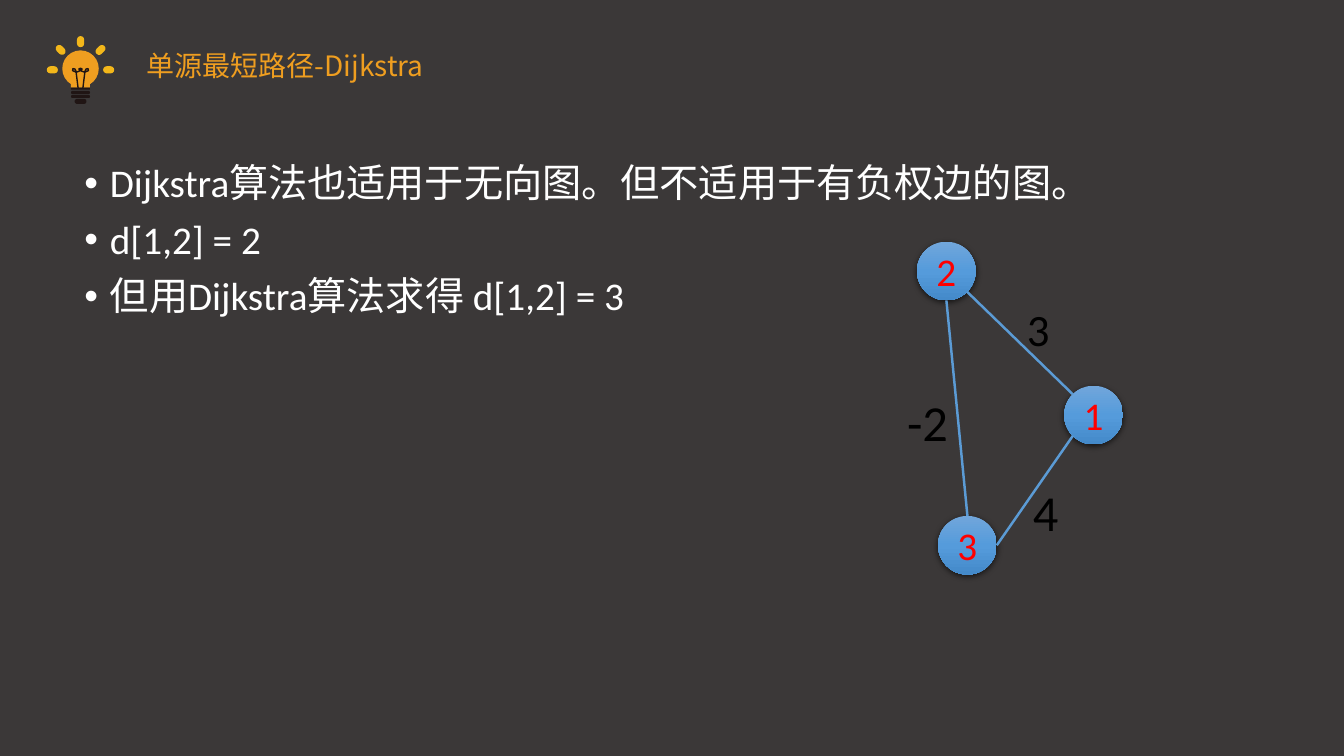
"""Build a slide on Dijkstra's algorithm with a negatively weighted graph."""
from copy import deepcopy
from dataclasses import dataclass
from math import cos, radians, sin

from lxml import etree
from pptx import Presentation
from pptx.dml.color import RGBColor
from pptx.enum import shapes, text
from pptx.oxml.ns import qn
from pptx.util import Cm, Pt

BACKGROUND = RGBColor(0x3B, 0x38, 0x38)
ORANGE = RGBColor(0xEF, 0x9E, 0x20)
YELLOW = RGBColor(0xF3, 0xB7, 0x1A)
DARK = RGBColor(0x20, 0x15, 0x14)
WHITE = RGBColor(0xFF, 0xFF, 0xFF)
BLACK = RGBColor(0, 0, 0)
RED = RGBColor(0xFF, 0, 0)
EDGE_BLUE = RGBColor(0x5B, 0x9B, 0xD5)
NODE_STOPS = (
    (0, RGBColor(0x71, 0xA6, 0xDB)),
    (0.5, RGBColor(0x55, 0x9B, 0xDB)),
    (1, RGBColor(0x44, 0x8A, 0xCA)),
)
LATIN, CJK = "Calibri", "Noto Sans CJK SC"
NODE_SIZE = 1.48
BULB_X, BULB_Y, RAY_DISTANCE = 2.03, 1.76, 0.71
SHAPE = shapes.MSO_SHAPE


@dataclass
class Node:
    label: str
    x: float
    y: float

    def rim(self, angle: float) -> tuple:
        r = NODE_SIZE / 2
        return Cm(self.x + r * cos(radians(angle))), Cm(self.y + r * sin(radians(angle)))


@dataclass
class Edge:
    start: Node
    start_angle: float
    end: Node
    end_angle: float


@dataclass
class Weight:
    label: str
    box: tuple
    size: int
    wrap: bool


@dataclass
class BulbPart:
    kind: int
    box: tuple
    color: RGBColor
    rotation: float = 0


NODE_1 = Node("1", 27.56, 10.46)
NODE_2 = Node("2", 23.85, 6.83)
NODE_3 = Node("3", 24.38, 13.74)
EDGES = (
    Edge(NODE_2, 90, NODE_3, 270),
    Edge(NODE_2, 45, NODE_1, 225),
    Edge(NODE_1, 135, NODE_3, 0),
)
WEIGHTS = (
    Weight("-2", (22.61, 9.73, 1.98, 1.8), 36, True),
    Weight("3", (25.63, 7.49, 1.09, 1.63), 32, False),
    Weight("4", (25.78, 12.01, 1.8, 1.8), 36, True),
)
BULLETS = (
    "Dijkstra算法也适用于无向图。但不适用于有负权边的图。",
    "d[1,2] = 2",
    "但用Dijkstra算法求得 d[1,2] = 3",
)
BULB_PARTS = (
    BulbPart(SHAPE.OVAL, (1.57, 1.27, 0.92, 0.92), ORANGE),
    BulbPart(SHAPE.RECTANGLE, (1.79, 2, 0.48, 0.21), ORANGE),
    BulbPart(SHAPE.RECTANGLE, (1.79, 2.21, 0.48, 0.05), DARK),
    BulbPart(SHAPE.ROUNDED_RECTANGLE, (1.79, 2.29, 0.48, 0.08), DARK),
    BulbPart(SHAPE.ROUNDED_RECTANGLE, (1.79, 2.39, 0.48, 0.08), DARK),
    BulbPart(SHAPE.ROUNDED_RECTANGLE, (1.88, 2.49, 0.3, 0.13), DARK),
)
FILAMENT_HALF = ((-0.06, 2.22), (-0.11, 1.82), (-0.2, 1.78), (-0.19, 1.73),
                 (-0.14, 1.74), (-0.1, 1.82), (0, 1.78), (-0.04, 1.74), (0, 1.72))


def add_run(p, content: str, size: int, color: RGBColor, latin: str = LATIN) -> None:
    """Append one formatted run."""
    r = p.add_run()
    r.text = content
    r.font.size, r.font.name = Pt(size), latin
    r.font.color.rgb = color
    etree.SubElement(r.font._element, qn("a:ea"), typeface=CJK)


def add_box(s, box: tuple, wrap: bool):
    """Add an empty text box and return its frame."""
    tf = s.shapes.add_textbox(*map(Cm, box)).text_frame
    tf.word_wrap = wrap
    return tf


def add_bulb_part(group, part: BulbPart) -> None:
    """Draw one plain piece of the light bulb."""
    sp = group.shapes.add_shape(part.kind, *map(Cm, part.box))
    if part.kind == SHAPE.ROUNDED_RECTANGLE:
        sp.adjustments[0] = 0.5
    sp.rotation = part.rotation
    sp.shadow.inherit = False
    sp.fill.solid()
    sp.fill.fore_color.rgb = part.color
    sp.line.fill.background()


def add_bulb(s) -> None:
    """Draw the light bulb with its filament and rays."""
    group = s.shapes.add_group_shape()
    for part in BULB_PARTS:
        add_bulb_part(group, part)
    for angle in range(180, 361, 45):
        x = BULB_X + RAY_DISTANCE * cos(radians(angle))
        y = BULB_Y + RAY_DISTANCE * sin(radians(angle))
        box = (x - 0.14, y - 0.09, 0.28, 0.18)
        add_bulb_part(group, BulbPart(SHAPE.ROUNDED_RECTANGLE, box, YELLOW, angle % 180))
    mirrored = [(-x, y) for x, y in reversed(FILAMENT_HALF[:-1])]
    points = [(Cm(BULB_X + x), Cm(y)) for x, y in [*FILAMENT_HALF, *mirrored]]
    builder = group.shapes.build_freeform(*points[0])
    builder.add_line_segments(points[1:], close=False)
    sp = builder.convert_to_shape()
    sp.shadow.inherit = False
    sp.fill.background()
    sp.line.color.rgb, sp.line.width = DARK, Pt(1)


def add_title(s) -> None:
    """Place and format the title."""
    sp = s.shapes.title
    sp.left, sp.top, sp.width, sp.height = map(Cm, (3.35, 1.09, 7.67, 1.12))
    tf = sp.text_frame
    tf.word_wrap = False
    tf.auto_size = text.MSO_AUTO_SIZE.SHAPE_TO_FIT_TEXT
    tf.vertical_anchor = text.MSO_ANCHOR.TOP
    p = tf.paragraphs[0]
    p.alignment = text.PP_ALIGN.CENTER
    add_run(p, "单源最短路径-Dijkstra", 20, ORANGE, CJK)


def add_bullets(s) -> None:
    """Write the bulleted statements."""
    tf = add_box(s, (1.88, 4.01, 28.14, 10.13), True)
    for i, bullet in enumerate(BULLETS):
        p = tf.add_paragraph() if i else tf.paragraphs[0]
        p.line_spacing, p.space_before = 0.9, Pt(10)
        pPr = p._p.get_or_add_pPr()
        pPr.set("marL", str(Cm(0.64)))
        pPr.set("indent", str(-Cm(0.64)))
        etree.SubElement(pPr, qn("a:buFont"), typeface="Arial")
        etree.SubElement(pPr, qn("a:buChar"), char="•")
        add_run(p, bullet, 28, WHITE)


def add_node(s, node: Node) -> None:
    """Draw a graph node with its gradient, shadow and label."""
    r = NODE_SIZE / 2
    sp = s.shapes.add_shape(SHAPE.OVAL, Cm(node.x - r), Cm(node.y - r), Cm(NODE_SIZE), Cm(NODE_SIZE))
    sp.line.fill.background()
    sp.fill.gradient()
    sp.fill.gradient_angle = 270
    stops = sp._element.spPr.find(".//" + qn("a:gsLst"))
    stops.append(deepcopy(stops[-1]))
    for stop, (position, color) in zip(sp.fill.gradient_stops, NODE_STOPS):
        stop.position, stop.color.rgb = position, color
    sp.shadow.inherit = False
    effects = sp._element.spPr.find(qn("a:effectLst"))
    shadow = etree.SubElement(effects, qn("a:outerShdw"), blurRad=str(Pt(4.5)),
                              dist=str(Pt(1.5)), dir="5400000", algn="ctr", rotWithShape="0")
    black = etree.SubElement(shadow, qn("a:srgbClr"), val=str(BLACK))
    etree.SubElement(black, qn("a:alpha"), val="63000")
    tf = sp.text_frame
    tf.word_wrap = False
    tf.vertical_anchor = text.MSO_ANCHOR.MIDDLE
    p = tf.paragraphs[0]
    p.alignment = text.PP_ALIGN.CENTER
    add_run(p, node.label, 28, RED)


def add_edge(s, edge: Edge) -> None:
    """Join two nodes at their rims."""
    line = s.shapes.add_connector(shapes.MSO_CONNECTOR.STRAIGHT,
                                  *edge.start.rim(edge.start_angle), *edge.end.rim(edge.end_angle))
    line.line.color.rgb, line.line.width = EDGE_BLUE, Pt(1.75)
    etree.SubElement(line._element.spPr, qn("a:effectLst"))


def main() -> None:
    """Build and save the slide."""
    prs = Presentation()
    prs.slide_width, prs.slide_height = Cm(33.87), Cm(19.05)
    s = prs.slides.add_slide(prs.slide_layouts[5])
    s.background.fill.solid()
    s.background.fill.fore_color.rgb = BACKGROUND
    add_bulb(s)
    add_title(s)
    add_bullets(s)
    for node in (NODE_2, NODE_3, NODE_1):
        add_node(s, node)
    for weight in WEIGHTS:
        tf = add_box(s, weight.box, weight.wrap)
        add_run(tf.paragraphs[0], weight.label, weight.size, BLACK)
    for edge in EDGES:
        add_edge(s, edge)
    prs.save("out.pptx")


if __name__ == "__main__":
    main()
